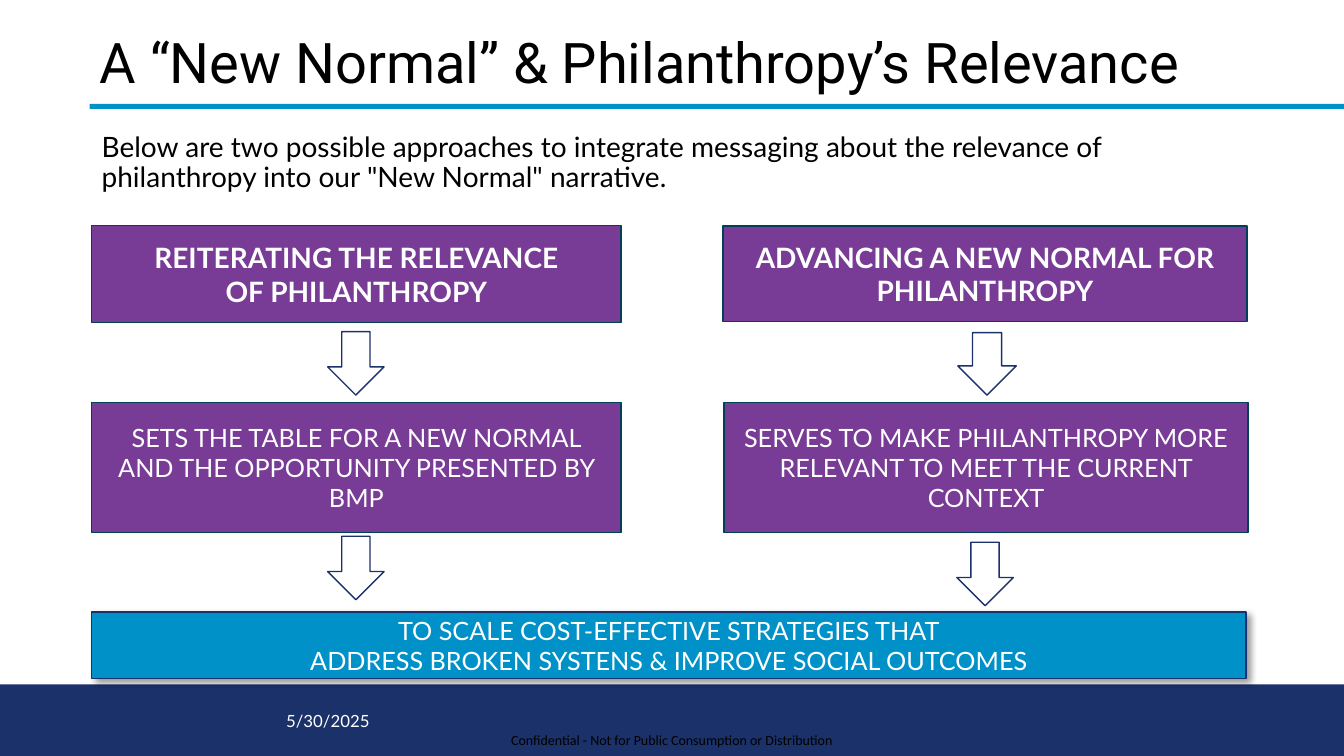
from lxml import etree
from pptx import Presentation
from pptx.dml.color import RGBColor
from pptx.enum.shapes import MSO_SHAPE as Shape
from pptx.enum.text import MSO_ANCHOR as Anchor, MSO_AUTO_SIZE as AutoSize, PP_ALIGN as Align
from pptx.oxml import parse_xml
from pptx.util import Inches, Pt

BLACK = RGBColor(0x00, 0x00, 0x00)
WHITE = RGBColor(0xFF, 0xFF, 0xFF)
NAVY = RGBColor(0x1B, 0x31, 0x69)
BLUE = RGBColor(0x00, 0x91, 0xC8)
PURPLE = RGBColor(0x78, 0x3C, 0x96)
TEAL = RGBColor(0x00, 0x40, 0x58)

prs = Presentation()
prs.slide_width, prs.slide_height = Inches(13.33), Inches(7.5)
slide = prs.slides.add_slide(prs.slide_layouts[5])


def write(holder, text, size, color=WHITE, font="Lato", bold=False,
          align=Align.LEFT, anchor=Anchor.MIDDLE, spacing=None, inset=None):
    """Fill a shape with text, one paragraph per line."""
    frame = holder.text_frame
    frame.text = text
    frame.word_wrap = True
    frame.auto_size = AutoSize.NONE
    frame.vertical_anchor = anchor
    if inset is not None:
        frame.margin_left = frame.margin_right = Inches(inset)
        frame.margin_top = frame.margin_bottom = Inches(inset)
    for paragraph in frame.paragraphs:
        paragraph.alignment = align
        paragraph.line_spacing = spacing
        for run in paragraph.runs:
            run.font.size, run.font.name = Pt(size), font
            run.font.bold, run.font.color.rgb = bold, color


def draw(kind, left, top, width, height, fill, line=None):
    """Add a flat preset shape, outlined only when a line colour is given."""
    shape = slide.shapes.add_shape(kind, Inches(left), Inches(top), Inches(width), Inches(height))
    shape.shadow.inherit = False
    shape.fill.solid()
    shape.fill.fore_color.rgb = fill
    if line is None:
        shape.line.fill.background()
    else:
        shape.line.color.rgb = line
        shape.line.width = Pt(1)
    return shape


# Footer band and rule under the title
draw(Shape.RECTANGLE, 0, 6.79, 13.33, 0.71, NAVY)
draw(Shape.RECTANGLE, 0.89, 1.03, 12.44, 0.05, BLUE)

# Title
title = slide.shapes.title
title.left, title.top, title.width, title.height = Inches(0.89), Inches(0.35), Inches(11.5), Inches(0.59)
write(title, "A “New Normal” & Philanthropy’s Relevance", 40, BLACK, "Roboto", spacing=0.9)

# Introduction, date and confidentiality note
intro = slide.shapes.add_textbox(Inches(0.91), Inches(1.27), Inches(11.45), Inches(0.69))
write(intro, "Below are two possible approaches to integrate messaging about the relevance of "
      "philanthropy into our\u00a0\"New Normal\" narrative.", 20, BLACK, anchor=Anchor.TOP, spacing=0.9)
date = slide.shapes.add_textbox(Inches(2.74), Inches(6.95), Inches(1.52), Inches(0.4))
write(date, "5/30/2025", 12)
note = slide.shapes.add_textbox(Inches(5.07), Inches(7.26), Inches(3.23), Inches(0.17))
write(note, "Confidential - Not for Public Consumption or Distribution", 10, BLACK, "Calibri",
      anchor=Anchor.TOP, inset=0)

# Two approaches: heading above its effect
approaches = [
    (0.91, 5.25, 0.96, "REITERATING THE RELEVANCE\nOF PHILANTHROPY",
     0.91, "SETS THE TABLE FOR A NEW NORMAL AND THE OPPORTUNITY PRESENTED BY BMP"),
    (7.17, 5.2, 0.95, "ADVANCING A NEW NORMAL FOR PHILANTHROPY",
     7.18, "SERVES TO MAKE PHILANTHROPY MORE RELEVANT TO MEET THE CURRENT CONTEXT"),
]
for heading_left, width, heading_height, heading, effect_left, effect in approaches:
    heading_box = draw(Shape.RECTANGLE, heading_left, 2.24, width, heading_height, PURPLE, TEAL)
    write(heading_box, heading, 20, bold=True, align=Align.CENTER)
    effect_box = draw(Shape.RECTANGLE, effect_left, 3.99, width, 1.29, PURPLE, TEAL)
    write(effect_box, effect, 18, align=Align.CENTER)

# Shared outcome, with a soft shadow to the lower right
outcome = draw(Shape.RECTANGLE, 0.91, 6.07, 11.45, 0.66, BLUE, NAVY)
write(outcome, "TO SCALE COST-EFFECTIVE STRATEGIES THAT\n"
      "ADDRESS BROKEN SYSTENS & IMPROVE SOCIAL OUTCOMES", 18, align=Align.CENTER)
DRAWING = "http://schemas.openxmlformats.org/drawingml/2006/main"
effects = outcome.element.spPr.find(etree.QName(DRAWING, "effectLst"))
effects.append(parse_xml(
    f'<a:outerShdw xmlns:a="{DRAWING}" blurRad="{Pt(5)}" dist="{Pt(3)}" dir="2700000" '
    'algn="tl" rotWithShape="0"><a:srgbClr val="000000"><a:alpha val="40000"/></a:srgbClr></a:outerShdw>'))

# Arrows down each column
for left, top, width, height in [(3.25, 3.29, 0.56, 0.63), (9.5, 3.3, 0.58, 0.62),
                                 (3.25, 5.32, 0.56, 0.63), (9.49, 5.38, 0.56, 0.63)]:
    draw(Shape.DOWN_ARROW, left, top, width, height, WHITE, NAVY)

prs.save("out.pptx")
